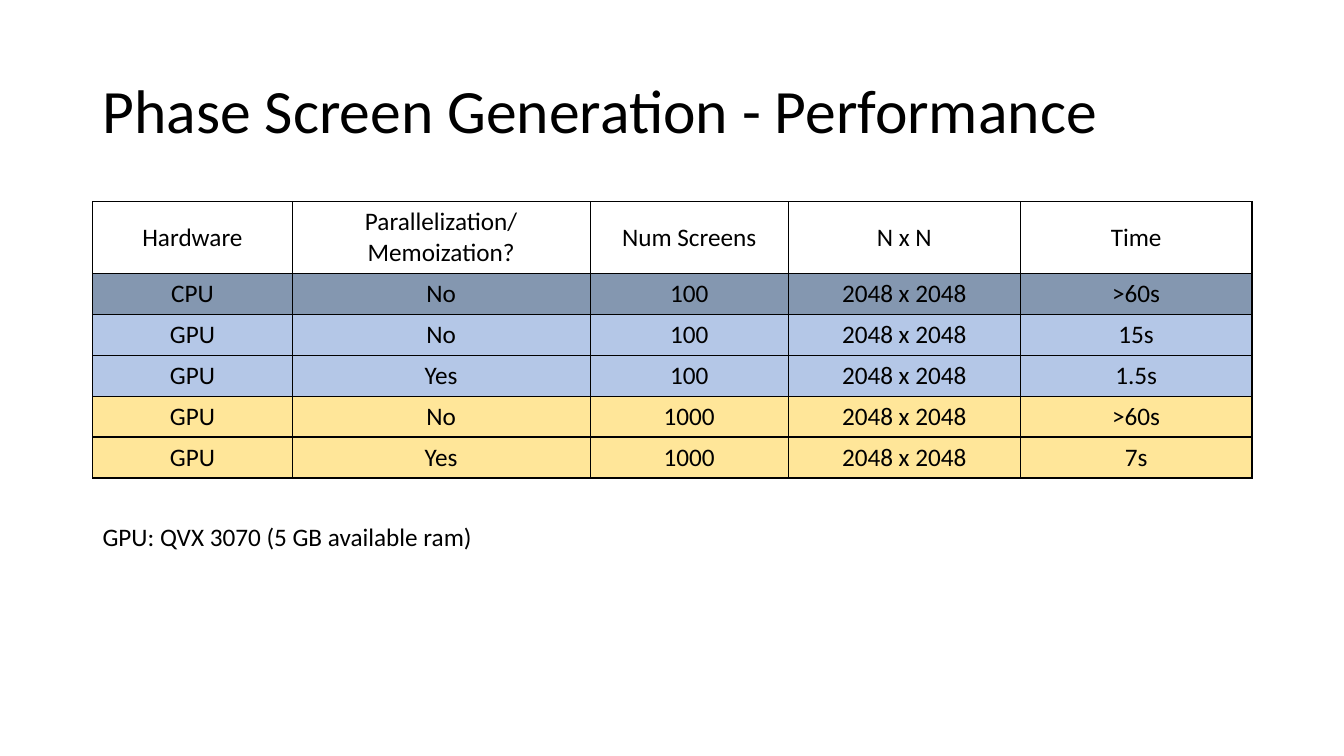
from dataclasses import dataclass

from lxml import etree
from pptx import Presentation
from pptx import util as u
from pptx.dml.color import RGBColor
from pptx.enum import text
from pptx.oxml.ns import qn

SLIDE_WIDTH, SLIDE_HEIGHT = u.Inches(13.33), u.Inches(7.5)
LEFT, WIDTH = 6.9, 86.27
COLUMN_SHARES = [17.2, 25.7, 17.1, 20, 20]
HEADER_HEIGHT, ROW_HEIGHT = 9.4, 5.42
COLORS = {
    "ink": "000000",
    "header": "FFFFFF",
    "cpu": "8497B0",
    "few screens": "B4C7E7",
    "many screens": "FFE699",
}


@dataclass(frozen=True)
class Label:
    """A text box placed in percent of the slide's size."""

    words: str
    top: float
    width: float
    height: float
    size: int
    anchor: text.MSO_ANCHOR
    spacing: float = 1.0


@dataclass(frozen=True)
class Row:
    """A table row with its fill colour."""

    color: str
    values: tuple[str, ...]


LABELS = [
    Label("Phase Screen Generation - Performance", 5.33, WIDTH, 19.33, 44,
          text.MSO_ANCHOR.MIDDLE, 0.9),
    Label("GPU: QVX 3070 (5 GB available ram)", 68.27, 60.77, 5.33, 18,
          text.MSO_ANCHOR.TOP),
]
ROWS = [
    Row("header", ("Hardware", "Parallelization/\nMemoization?", "Num Screens", "N x N", "Time")),
    Row("cpu", ("CPU", "No", "100", "2048 x 2048", ">60s")),
    Row("few screens", ("GPU", "No", "100", "2048 x 2048", "15s")),
    Row("few screens", ("GPU", "Yes", "100", "2048 x 2048", "1.5s")),
    Row("many screens", ("GPU", "No", "1000", "2048 x 2048", ">60s")),
    Row("many screens", ("GPU", "Yes", "1000", "2048 x 2048", "7s")),
]


def across(percent: float) -> int:
    """Turn a share of the slide's width into a length."""
    return round(SLIDE_WIDTH * percent / 100)


def down(percent: float) -> int:
    """Turn a share of the slide's height into a length."""
    return round(SLIDE_HEIGHT * percent / 100)


def apply(target, values: dict) -> None:
    """Set each named attribute on the target."""
    for name, value in values.items():
        setattr(target, name, value)


def write(frame, words: str, size: int, layout: dict) -> None:
    """Write and format the paragraphs of a text frame."""
    frame.text = words
    for para in frame.paragraphs:
        apply(para, layout)
        for span in para.runs:
            apply(span.font, {"name": "Calibri", "size": u.Pt(size)})
            span.font.color.rgb = RGBColor.from_string(COLORS["ink"])


def draw_label(page, label: Label) -> None:
    """Draw one text box."""
    box = page.shapes.add_textbox(across(LEFT), down(label.top),
                                  across(label.width), down(label.height))
    apply(box.text_frame, {"word_wrap": True, "vertical_anchor": label.anchor})
    write(box.text_frame, label.words, label.size, {"line_spacing": label.spacing})


def draw_borders(cell) -> None:
    """Put a thin line on all four sides of a cell."""
    properties = cell._tc.get_or_add_tcPr()
    for position, side in enumerate(("lnL", "lnR", "lnT", "lnB")):
        line = etree.Element(qn(f"a:{side}"), w=str(u.Pt(1)))
        fill = etree.SubElement(line, qn("a:solidFill"))
        etree.SubElement(fill, qn("a:srgbClr"), val=COLORS["ink"])
        properties.insert(position, line)


def draw_table(page, rows: list[Row]) -> None:
    """Draw the table of timings."""
    heights = [HEADER_HEIGHT] + [ROW_HEIGHT] * (len(rows) - 1)
    table = page.shapes.add_table(len(rows), len(COLUMN_SHARES), across(LEFT), down(26.67),
                                  across(WIDTH), down(sum(heights))).table
    apply(table, {"first_row": False, "horz_banding": False})
    for column, share in zip(table.columns, COLUMN_SHARES):
        column.width = across(WIDTH * share / 100)
    for line, row, height in zip(table.rows, rows, heights):
        line.height = down(height)
        for cell, words in zip(line.cells, row.values):
            cell.vertical_anchor = text.MSO_ANCHOR.MIDDLE
            cell.fill.solid()
            cell.fill.fore_color.rgb = RGBColor.from_string(COLORS[row.color])
            write(cell.text_frame, words, 18, {"alignment": text.PP_ALIGN.CENTER})
            draw_borders(cell)


def main() -> None:
    """Build and save the slide."""
    deck = Presentation()
    apply(deck, {"slide_width": SLIDE_WIDTH, "slide_height": SLIDE_HEIGHT})
    page = deck.slides.add_slide(deck.slide_layouts[6])
    draw_table(page, ROWS)
    for label in LABELS:
        draw_label(page, label)
    deck.save("out.pptx")


if __name__ == "__main__":
    main()
